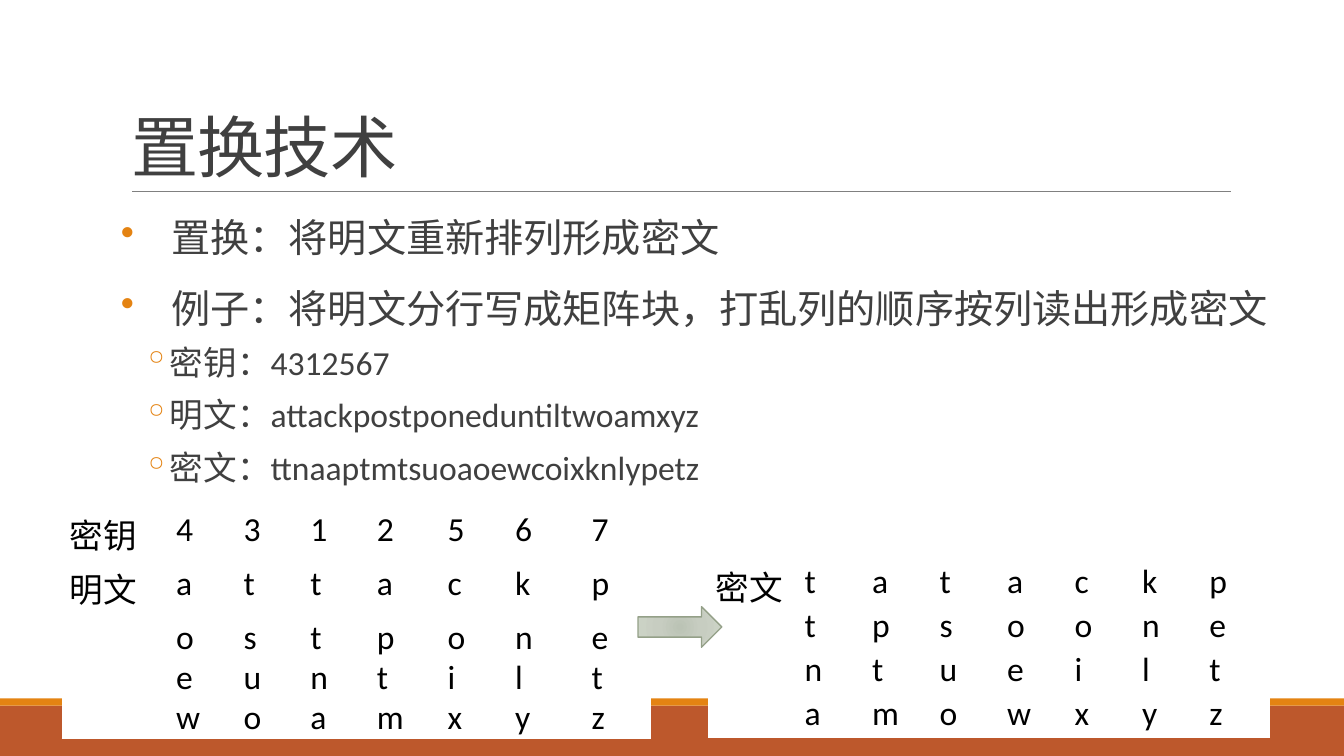
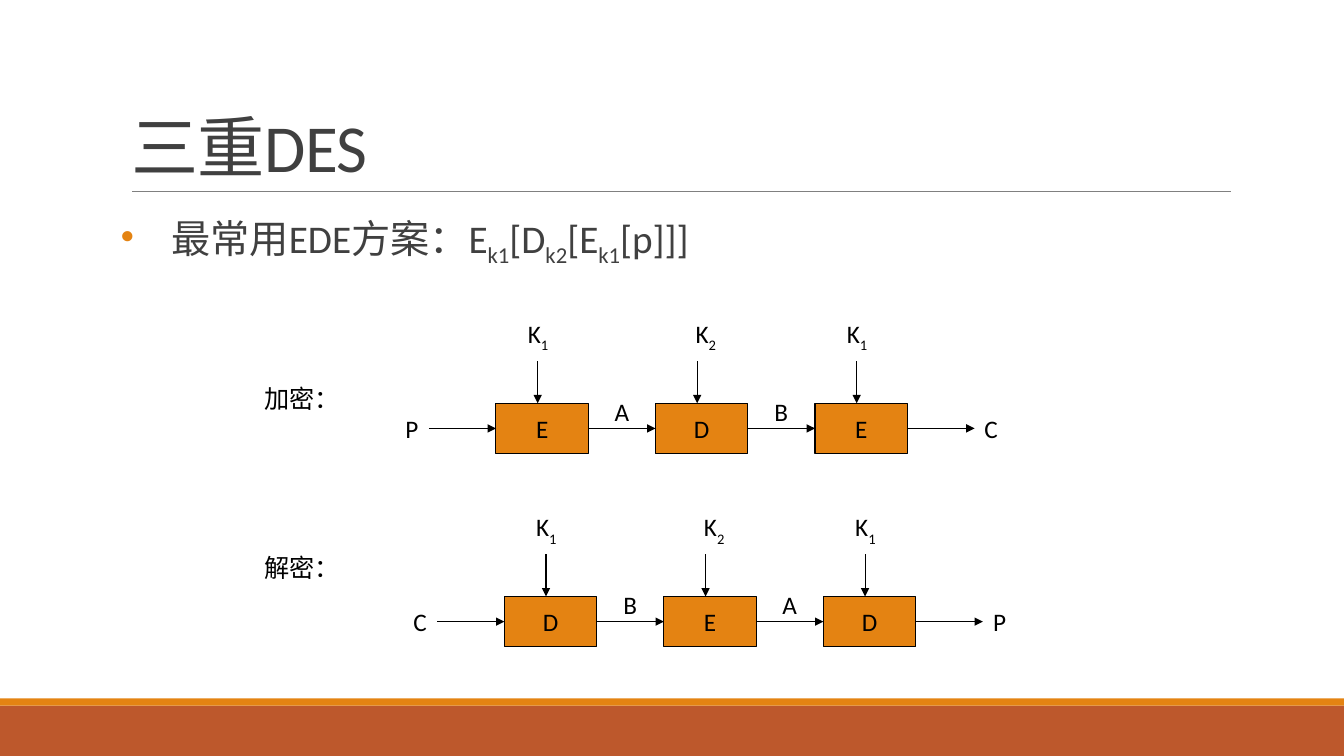
from lxml import etree
from pptx import Presentation
from pptx.dml.color import RGBColor
from pptx.enum.shapes import MSO_CONNECTOR as Line, MSO_SHAPE as Shape
from pptx.enum.text import MSO_ANCHOR as Anchor, MSO_AUTO_SIZE as AutoSize, PP_ALIGN as Align
from pptx.oxml import parse_xml
from pptx.oxml.ns import nsdecls, qn
from pptx.util import Cm, Pt

FONT = "Calibri"
BLACK, WHITE, INK, GREY = "000000", "FFFFFF", "404040", "808080"
ORANGE, RUST, SAGE = "E48312", "BD582C", "94A088"
ARROW_STOPS = [(0, "BBC3B5"), (45, "C7CDC1"), (100, "CDD4C7")]
WIDTH, HEIGHT = 33.87, 19.05

BULLETS = [
    dict(level=0, size=28, mark="•", margin=1.27, hang=1.27, before=12, after=2),
    dict(level=1, size=24, mark="◦", margin=1.07, hang=0.51, before=2, after=4),
]


def color(code):
    """Turn a hex string into a colour."""
    return RGBColor.from_string(code)


def lengths(*values):
    """Turn centimetres into lengths."""
    return [Cm(value) for value in values]


def add_span(para, text, size, ink=BLACK, baseline=0):
    """Add one formatted run and return it."""
    span = para.add_run()
    span.text = text
    span.font.name = FONT
    span.font.size = Pt(size)
    span.font.color.rgb = color(ink)
    if baseline:
        span.font._element.set("baseline", str(baseline * 1000))
    return span


def set_insets(holder, side, top):
    """Set the inner margins of a text frame or cell."""
    holder.margin_left = holder.margin_right = Cm(side)
    holder.margin_top = holder.margin_bottom = Cm(top)


def add_block(shapes, kind, box, fill, line=None, weight=0.75):
    """Add a flat preset shape."""
    block = shapes.add_shape(kind, *lengths(*box))
    block.shadow.inherit = False
    block.fill.solid()
    block.fill.fore_color.rgb = color(fill)
    if line:
        block.line.color.rgb = color(line)
        block.line.width = Pt(weight)
    else:
        block.line.fill.background()
    return block


def add_line(shapes, start, end, ink=BLACK, weight=0.75, arrow=True):
    """Add a straight line, with an arrowhead if wanted."""
    line = shapes.add_connector(Line.STRAIGHT, *lengths(*start, *end))
    line.line.color.rgb = color(ink)
    line.line.width = Pt(weight)
    if arrow:
        etree.SubElement(line.line._get_or_add_ln(), qn("a:tailEnd"), type="triangle")
    etree.SubElement(line._element.spPr, qn("a:effectLst"))
    return line


def write_label(holder, text, index=""):
    """Write a centred label with an optional subscript."""
    frame = holder.text_frame
    frame.word_wrap = False
    frame.vertical_anchor = Anchor.MIDDLE
    para = frame.paragraphs[0]
    para.alignment = Align.CENTER
    add_span(para, text, 18)
    if index:
        add_span(para, index, 18, baseline=-30)


def add_label(shapes, box, text, index=""):
    """Add a free label."""
    write_label(shapes.add_textbox(*lengths(*box)), text, index)


def add_page(deck, title):
    """Add a slide with the shared bands, rule and title."""
    page = deck.slides.add_slide(deck.slide_layouts[5])
    add_block(page.shapes, Shape.RECTANGLE, (0, 17.78, WIDTH, 1.27), RUST)
    add_block(page.shapes, Shape.RECTANGLE, (0, 17.6, WIDTH, 0.18), ORANGE)
    add_line(page.shapes, (3.33, 4.83), (31.01, 4.83), GREY, 0.5, arrow=False)
    holder = page.shapes.title
    holder.left, holder.top, holder.width, holder.height = lengths(3.05, 0.79, 27.94, 4.04)
    frame = holder.text_frame
    frame.auto_size = AutoSize.NONE
    frame.vertical_anchor = Anchor.BOTTOM
    para = frame.paragraphs[0]
    para.alignment = Align.LEFT
    para.line_spacing = 0.85
    add_span(para, title, 48, INK).font._element.set("spc", "-50")
    return page


def add_body(page, box, items):
    """Add the bulleted text, each item a level and its runs."""
    frame = page.shapes.add_textbox(*lengths(*box)).text_frame
    frame.word_wrap = True
    set_insets(frame, 0, 0.13)
    for number, (level, spans) in enumerate(items):
        para = frame.add_paragraph() if number else frame.paragraphs[0]
        style = BULLETS[level]
        para.level = style["level"]
        para.line_spacing = 1.1
        para.space_before = Pt(style["before"])
        para.space_after = Pt(style["after"])
        props = para._p.get_or_add_pPr()
        props.set("marL", str(Cm(style["margin"])))
        props.set("indent", str(-Cm(style["hang"])))
        tint = etree.SubElement(props, qn("a:buClr"))
        etree.SubElement(tint, qn("a:srgbClr"), val=ORANGE)
        etree.SubElement(props, qn("a:buChar"), char=style["mark"])
        for text, baseline in spans:
            add_span(para, text, style["size"], INK, baseline)


def add_letter_table(page, left, top, widths, heights, rows):
    """Add a white table of single letters with a heading column."""
    box = lengths(left, top, sum(widths), sum(heights))
    table = page.shapes.add_table(len(rows), len(widths), *box).table
    table.first_row = table.horz_banding = False
    for column, width in zip(table.columns, widths):
        column.width = Cm(width)
    for row, height, (heading, letters) in zip(table.rows, heights, rows):
        row.height = Cm(height)
        for cell, text in zip(row.cells, [heading, *letters]):
            cell.fill.solid()
            cell.fill.fore_color.rgb = color(WHITE)
            set_insets(cell, 0.18, 0)
            if text:
                para = cell.text_frame.paragraphs[0]
                para.alignment = Align.JUSTIFY
                add_span(para, text, 24)


def add_gradient_arrow(page, box):
    """Add the block arrow with a radial gradient."""
    arrow = add_block(page.shapes, Shape.RIGHT_ARROW, box, SAGE, SAGE, 1)
    stops = "".join(
        f'<a:gs pos="{place * 1000}"><a:srgbClr val="{code}"/></a:gs>' for place, code in ARROW_STOPS
    )
    gradient = parse_xml(
        f'<a:gradFill {nsdecls("a")}><a:gsLst>{stops}</a:gsLst><a:path path="circle">'
        '<a:fillToRect l="100000" t="100000" r="100000" b="100000"/></a:path></a:gradFill>'
    )
    props = arrow._element.spPr
    props.replace(props.find(qn("a:solidFill")), gradient)


def add_cipher_chain(page, left, top, source, stages, middles, target):
    """Add a chain of three cipher stages with their keys."""
    shapes = page.shapes.add_group_shape().shapes
    pitch, stage_left, stage_top, width, height = 4.02, 3.18, 2.33, 2.33, 1.27
    gap = pitch - width
    label_size = (2.12, 1.27)
    axis = top + stage_top + height / 2
    blocks = []
    for number, (stage, key, key_left) in enumerate(zip(stages, "121", (3.18, 7.41, 11.22))):
        shift = left + pitch * number
        box = (shift + stage_left, top + stage_top, width, height)
        block = add_block(shapes, Shape.RECTANGLE, box, ORANGE, BLACK)
        write_label(block, stage)
        blocks.append(block)
        add_label(shapes, (left + key_left, top, *label_size), "K", key)
        add_line(shapes, (shift + 4.23, top + 1.27), (shift + 4.23, top + stage_top))
    for number in range(len(blocks) + 1):
        end = left + stage_left + pitch * number
        line = add_line(shapes, (end - gap, axis), (end, axis))
        if number > 0:
            line.begin_connect(blocks[number - 1], 3)
        if number < len(blocks):
            line.end_connect(blocks[number], 1)
    for number, middle in enumerate(middles):
        add_label(shapes, (left + 5.29 + pitch * number, top + 1.9, *label_size), middle)
    for text, shift in ((source, 0), (target, 14.6)):
        add_label(shapes, (left + shift, top + stage_top, *label_size), text)


def build_transposition(deck):
    """Build the slide on transposition."""
    page = add_page(deck, "置换技术")
    lines = [
        (0, "置换：将明文重新排列形成密文"),
        (0, "例子：将明文分行写成矩阵块，打乱列的顺序按列读出形成密文"),
        (1, "密钥：4312567"),
        (1, "明文：attackpostponeduntiltwoamxyz"),
        (1, "密文：ttnaaptmtsuoaoewcoixknlypetz"),
    ]
    add_body(page, (3.05, 5.13, 29.85, 11.18), [(level, [(text, 0)]) for level, text in lines])
    add_letter_table(
        page, 1.57, 12.85,
        [2.69, 1.7, 1.68, 1.68, 1.78, 1.7, 1.93, 1.65],
        [1.35, 1.35, 0.94, 0.94, 0.94],
        [("密钥", "4312567"), ("明文", "attackp"), ("", "ostpone"), ("", "euntilt"), ("", "woamxyz")],
    )
    add_letter_table(
        page, 17.86, 14.15, [2.24] + [1.7] * 7, [1.11] * 4,
        [("密文", "tatackp"), ("", "tpsoone"), ("", "ntueilt"), ("", "amowxyz")],
    )
    add_gradient_arrow(page, (16.08, 15.29, 2.11, 1.02))


def build_triple_des(deck):
    """Build the slide on triple DES."""
    page = add_page(deck, "三重DES")
    formula = [
        ("最常用EDE方案：E", 0), ("k1", -25), ("[D", 0), ("k2", -25),
        ("[E", 0), ("k1", -25), ("[p]]]", 0),
    ]
    add_body(page, (3.05, 5.13, 27.94, 11.18), [(0, formula)])
    add_cipher_chain(page, 9.32, 7.83, "P", "EDE", "AB", "C")
    add_cipher_chain(page, 9.53, 12.7, "C", "DED", "BA", "P")
    for text, top in (("加密：", 9.31), ("解密：", 13.55)):
        add_label(page.shapes, (6.35, top, 2.54, 1.48), text)


def main():
    """Build and save the deck."""
    deck = Presentation()
    deck.slide_width, deck.slide_height = lengths(WIDTH, HEIGHT)
    build_transposition(deck)
    build_triple_des(deck)
    deck.save("out.pptx")


if __name__ == "__main__":
    main()
